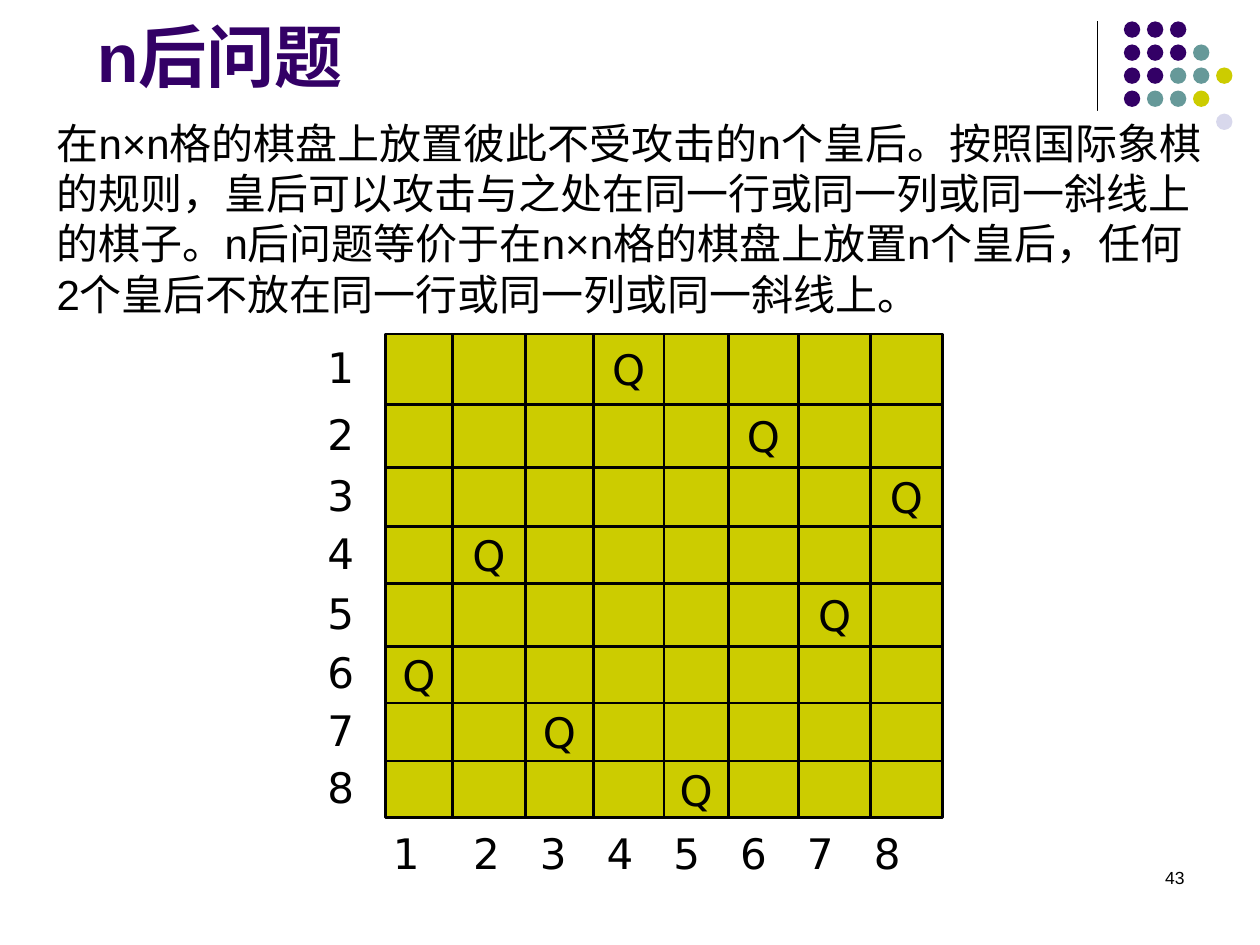
import itertools

import pptx
import pptx.dml.color
import pptx.enum.shapes
import pptx.enum.text
import pptx.oxml.xmlchemy
import pptx.util

RGB = pptx.dml.color.RGBColor
BLACK = RGB(0x00, 0x00, 0x00)
WHITE = RGB(0xFF, 0xFF, 0xFF)
PURPLE = RGB(0x33, 0x00, 0x66)
TEAL = RGB(0x66, 0x99, 0x99)
OLIVE = RGB(0xCC, 0xCC, 0x00)
LAVENDER = RGB(0xD8, 0xD8, 0xEC)
SHAPES = pptx.enum.shapes.MSO_SHAPE
ALIGN = pptx.enum.text.PP_ALIGN

deck = pptx.Presentation()
deck.slide_width = pptx.util.Inches(10)
deck.slide_height = pptx.util.Inches(7.5)
page = deck.slides.add_slide(deck.slide_layouts[6])

# The page is a grid of 100 columns by 75 rows; every length counts its squares.
SQUARE = deck.slide_width // 100


def write(area, text, size, font="DejaVu Sans", color=BLACK, align=ALIGN.LEFT, wrap=False):
    """Add a text box covering area (left, top, width, height) and return it."""
    box = page.shapes.add_textbox(*(int(n * SQUARE) for n in area))
    box.text_frame.word_wrap = wrap
    para = box.text_frame.paragraphs[0]
    para.alignment = align
    span = para.add_run()
    span.text = text
    span.font.size = pptx.util.Pt(size)
    span.font.name = font
    span.font.color.rgb = color
    return box


def draw_line(ends, weight):
    """Draw a black line between ends (x1, y1, x2, y2)."""
    line = page.shapes.add_connector(
        pptx.enum.shapes.MSO_CONNECTOR.STRAIGHT, *(int(n * SQUARE) for n in ends))
    line.line.color.rgb = BLACK
    line.line.width = pptx.util.Pt(weight)
    line._element.spPr.append(pptx.oxml.xmlchemy.OxmlElement("a:effectLst"))


# Corner ornament: one letter per dot, blank where there is none
draw_line((87.1, 1.7, 87.1, 18.3), 0.75)
DOT_COLORS = {"P": PURPLE, "T": TEAL, "O": OLIVE, "L": LAVENDER}
DOT_ROWS = ["PPP", "PPPT", "PPTTO", "PTTO", "    L"]
DOT_STEP = 1.83
for row, letters in enumerate(DOT_ROWS):
    for column, letter in enumerate(letters):
        if letter == " ":
            continue
        area = (89.2 + column * DOT_STEP, 1.7 + row * DOT_STEP, 1.3, 1.3)
        dot = page.shapes.add_shape(SHAPES.OVAL, *(int(n * SQUARE) for n in area))
        dot.shadow.inherit = False
        dot.fill.solid()
        dot.fill.fore_color.rgb = DOT_COLORS[letter]
        dot.line.fill.background()

# Page number, title and statement of the problem
write((71.7, 68.3, 23.3, 5), "43", 10, "Arial", align=ALIGN.RIGHT, wrap=True)

title = write((6.7, 0, 85, 8.8), "n后问题", 39, "Arial", PURPLE, wrap=True)
title.text_frame.vertical_anchor = pptx.enum.text.MSO_ANCHOR.MIDDLE
title.text_frame.paragraphs[0].runs[0].font.bold = True

statement = write(
    (3.5, 8.8, 92.9, 17),
    "在n×n格的棋盘上放置彼此不受攻击的n个皇后。按照国际象棋的规则，"
    "皇后可以攻击与之处在同一行或同一列或同一斜线上的棋子。"
    "n后问题等价于在n×n格的棋盘上放置n个皇后，"
    "任何2个皇后不放在同一行或同一列或同一斜线上。",
    24, "Arial", wrap=True)
statement.fill.solid()
statement.fill.fore_color.rgb = WHITE

# Chessboard, with its hand-spaced rulings
COLUMN_EDGES = [30.6, 35.9, 41.7, 47.1, 52.7, 57.8, 63.4, 69.1, 74.8]
ROW_EDGES = [26.5, 32.1, 37.1, 41.8, 46.3, 51.3, 55.8, 60.4, 64.9]
left, right = COLUMN_EDGES[0], COLUMN_EDGES[-1]
top, bottom = ROW_EDGES[0], ROW_EDGES[-1]

board = page.shapes.add_shape(
    SHAPES.RECTANGLE,
    *(int(n * SQUARE) for n in (left, top, right - left, bottom - top)))
board.shadow.inherit = False
board.fill.solid()
board.fill.fore_color.rgb = OLIVE
board.line.color.rgb = BLACK
board.line.width = pptx.util.Pt(1.5)
for y in ROW_EDGES[1:-1]:
    draw_line((left, y, right, y), 1.5)
for x in COLUMN_EDGES[1:-1]:
    draw_line((x, top, x, bottom), 1.5)

# Column numbers sit on tab stops under the board
column_numbers = write((30.2, 65.2, 44.9, 5), "\t".join("12345678"), 24)
properties = column_numbers.text_frame.paragraphs[0]._p.get_or_add_pPr()
tabs = pptx.oxml.xmlchemy.OxmlElement("a:tabLst")
for stop in range(7):
    tab = pptx.oxml.xmlchemy.OxmlElement("a:tab")
    tab.set("pos", str(int((6.36 + 5.3 * stop) * SQUARE)))
    tab.set("algn", "l")
    tabs.append(tab)
properties.append(tabs)

# Row numbers and one queen per row, centred on the squares
column_centres = [(a + b) / 2 for a, b in itertools.pairwise(COLUMN_EDGES)]
row_centres = [(a + b) / 2 for a, b in itertools.pairwise(ROW_EDGES)]
QUEEN_COLUMNS = [4, 6, 8, 2, 7, 1, 3, 5]
for number, (y, queen) in enumerate(zip(row_centres, QUEEN_COLUMNS), start=1):
    write((25, y - 2.7, 4.1, 5), str(number), 24, align=ALIGN.CENTER)
    write((column_centres[queen - 1] - 2.3, y - 2.5, 4.6, 5), "Q", 24, align=ALIGN.CENTER)

deck.save("out.pptx")
